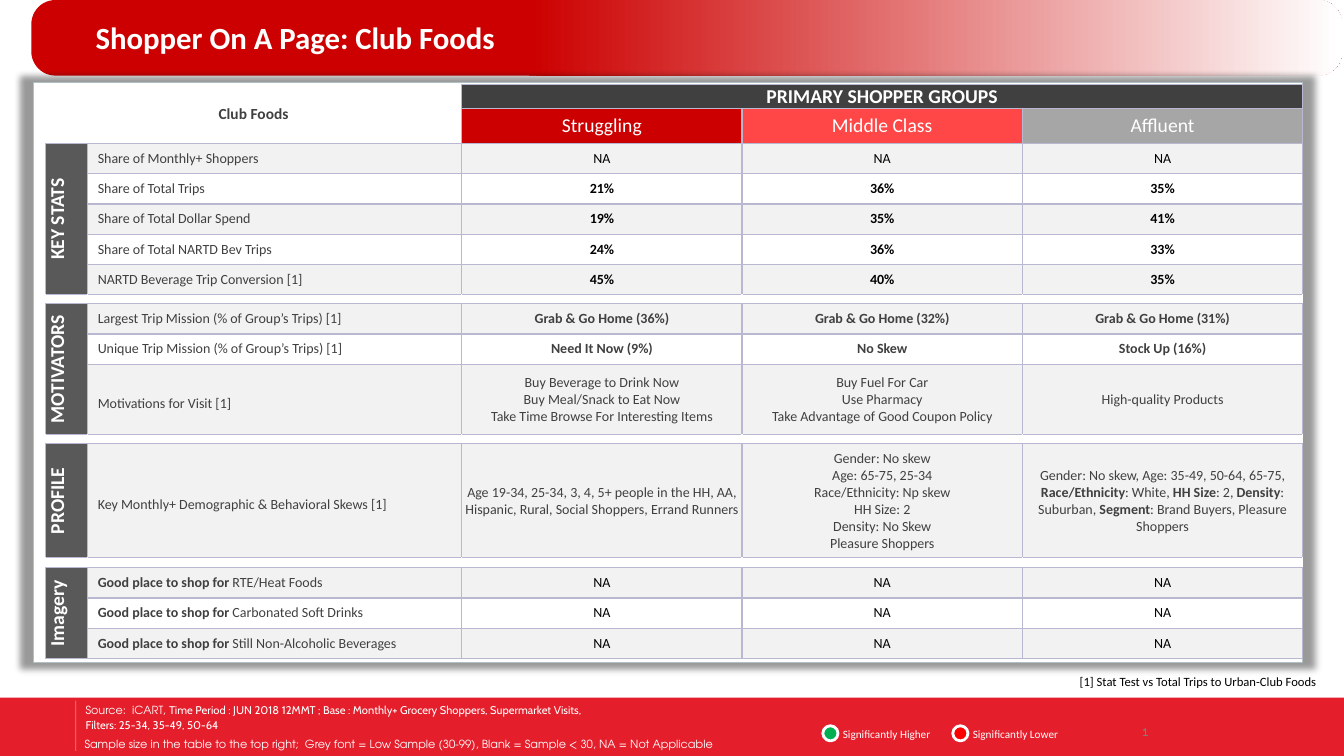
"""Build the Club Foods shopper summary slide."""
import pptx
import pptx.util
import pptx.dml.color
import pptx.enum.shapes
import pptx.enum.text
import lxml.etree

RGB = pptx.dml.color.RGBColor
WHITE, BLACK = RGB(255, 255, 255), RGB(0, 0, 0)
DARK, CHARCOAL = RGB(0x40, 0x40, 0x40), RGB(0x59, 0x59, 0x59)
PALE, SILVER, GREY = RGB(0xF2, 0xF2, 0xF2), RGB(0xA6, 0xA6, 0xA6), RGB(0x80, 0x80, 0x80)
RED, CORAL, FOOTER_RED = RGB(0xCC, 0, 0), RGB(0xFF, 0x47, 0x47), RGB(0xE5, 0x1E, 0x2B)
GREEN, BRIGHT_RED = RGB(0, 0xB0, 0x50), RGB(0xFF, 0, 0)
EDGE, BORDER = RGB(0xAF, 0xC1, 0xC3), RGB(0xB8, 0xB8, 0xD0)
GEOMETRIC = "TeX Gyre Adventor"
NS = 'xmlns:a="http://schemas.openxmlformats.org/drawingml/2006/main"'
SHAPE = pptx.enum.shapes.MSO_SHAPE
ALIGN = pptx.enum.text.PP_ALIGN
ANCHOR = pptx.enum.text.MSO_ANCHOR
Pt = pptx.util.Pt

prs = pptx.Presentation()
prs.slide_width, prs.slide_height = pptx.util.Inches(13.33), pptx.util.Inches(7.5)
W, H = prs.slide_width / 100, prs.slide_height / 100
s = prs.slides.add_slide(prs.slide_layouts[6])


def place(left, top, width, height):
    """Turn percentages of the slide into lengths."""
    return int(left * W), int(top * H), int(width * W), int(height * H)


def write(p, text, size, color, font="Calibri", align=ALIGN.LEFT):
    """Append text to a paragraph, with bold parts between asterisks."""
    p.alignment = align
    for i, part in enumerate(text.split("*")):
        if part:
            r = p.add_run()
            r.text = part
            r.font.size, r.font.name, r.font.bold = Pt(size), font, i % 2 == 1
            r.font.color.rgb = color


shapes = [
    (SHAPE.RECTANGLE, (0, 92.27, 100, 7.73), FOOTER_RED, None, 0),
    (SHAPE.OVAL, (61.22, 96, 1.13, 2), GREEN, WHITE, 2),
    (SHAPE.OVAL, (70.89, 96, 1.13, 2), BRIGHT_RED, WHITE, 2),
    (SHAPE.ROUNDED_RECTANGLE, (2.33, 0, 97.52, 10), RED, None, 0),
    (SHAPE.RECTANGLE, (2.48, 10.93, 94.45, 76.67), WHITE, EDGE, 0.75),
]
drawn = []
for kind, area, fill, line, width in shapes:
    sp = s.shapes.add_shape(kind, *place(*area))
    sp.shadow.inherit = False
    sp.fill.solid()
    sp.fill.fore_color.rgb = fill
    if line is None:
        sp.line.fill.background()
    else:
        sp.line.color.rgb = line
        sp.line.width = Pt(width)
    drawn.append(sp)

banner, panel = drawn[3:]
banner.adjustments[0] = 0.32
stops = "".join(f'<a:gs pos="{pos * 1000}"><a:srgbClr val="{color}"/></a:gs>'
                for pos, color in [(0, RED), (38, RED), (100, WHITE)])
solid = banner._element.spPr.find(".//{*}solidFill")
solid.getparent().replace(solid, lxml.etree.fromstring(
    f'<a:gradFill {NS} rotWithShape="1"><a:gsLst>{stops}</a:gsLst><a:lin ang="0" scaled="0"/></a:gradFill>'))
panel._element.spPr.find("{*}effectLst").append(lxml.etree.fromstring(
    f'<a:outerShdw {NS} blurRad="63500" sx="102000" sy="102000" algn="ctr" rotWithShape="0">'
    '<a:srgbClr val="000000"><a:alpha val="40000"/></a:srgbClr></a:outerShdw>'))

rule = s.shapes.add_connector(pptx.enum.shapes.MSO_CONNECTOR.STRAIGHT,
                              int(5.63 * W), int(92.67 * H), int(5.63 * W), int(99.33 * H))
rule.line.color.rgb, rule.line.width = WHITE, Pt(0.5)
rule.line._ln.find(".//{*}srgbClr").append(lxml.etree.fromstring(f'<a:alpha {NS} val="43000"/>'))
lxml.etree.SubElement(rule._element.spPr, "{http://schemas.openxmlformats.org/drawingml/2006/main}effectLst")

texts = [
    ((5.63, 92.4, 48.84, 5.07), "Source:  iCART, ", 8, WHITE, GEOMETRIC, ALIGN.LEFT, ANCHOR.MIDDLE),
    ((5.55, 96.27, 55.89, 4.4), "Sample size in the table to the top right;  Grey font = Low Sample (30-99), "
     "Blank = Sample < 30, NA = Not Applicable", 8, WHITE, GEOMETRIC, ALIGN.LEFT, ANCHOR.MIDDLE),
    ((61.97, 95.73, 9, 2.67), "Significantly Higher", 8, WHITE, "Calibri", ALIGN.LEFT, ANCHOR.MIDDLE),
    ((71.64, 95.73, 9, 2.67), "Significantly Lower", 8, WHITE, "Calibri", ALIGN.LEFT, ANCHOR.MIDDLE),
    ((6.38, 2, 80.5, 5.87), "*Shopper On A Page: Club Foods*", 22, WHITE, "Calibri", ALIGN.LEFT, ANCHOR.MIDDLE),
    ((61.97, 88.53, 36.68, 3.33), "[1] Stat Test vs Total Trips to Urban-Club Foods", 9, BLACK, "Calibri",
     ALIGN.RIGHT, ANCHOR.TOP),
    ((85, 96, 0.3, 1.73), "1", 8, GREY, "Arial", ALIGN.LEFT, ANCHOR.TOP),
    ((85, 96, 0.3, 1.73), "1", 8, GREY, "Calibri", ALIGN.LEFT, ANCHOR.MIDDLE),
]
for area, text, size, color, font, align, anchor in texts:
    tf = s.shapes.add_textbox(*place(*area)).text_frame
    tf.word_wrap, tf.vertical_anchor = text != "1", anchor
    if text == "1":
        tf.margin_left = tf.margin_right = tf.margin_top = tf.margin_bottom = 0
    write(tf.paragraphs[0], text, size, color, font, align)
    if text.startswith("Source"):
        write(tf.paragraphs[0], "Time Period : JUN 2018 12MMT ; Base : Monthly+ Grocery Shoppers, "
              "Supermarket Visits,", 8, WHITE, "Cabin")
        p = tf.add_paragraph()
        p.space_before = Pt(1.6)
        write(p, "Filters: 25-34, 35-49, 50-64", 8, WHITE, "Cabin")

GAP = [""] * 5
rows = [
    ["*Club Foods*", "", "*PRIMARY SHOPPER GROUPS*", "", ""],
    ["", "", "Struggling", "Middle Class", "Affluent"],
    ["*KEY STATS*", "Share of Monthly+ Shoppers", "NA", "NA", "NA"],
    ["", "Share of Total Trips", "*21%*", "*36%*", "*35%*"],
    ["", "Share of Total Dollar Spend", "*19%*", "*35%*", "*41%*"],
    ["", "Share of Total NARTD Bev Trips", "*24%*", "*36%*", "*33%*"],
    ["", "NARTD Beverage Trip Conversion [1]", "*45%*", "*40%*", "*35%*"],
    GAP,
    ["*MOTIVATORS*", "Largest Trip Mission (% of Group’s Trips) [1]",
     "*Grab & Go Home (36%)*", "*Grab & Go Home (32%)*", "*Grab & Go Home (31%)*"],
    ["", "Unique Trip Mission (% of Group’s Trips) [1]", "*Need It Now (9%)*", "*No Skew*", "*Stock Up (16%)*"],
    ["", "Motivations for Visit [1]",
     "Buy Beverage to Drink Now\nBuy Meal/Snack to Eat Now\nTake Time Browse For Interesting Items",
     "Buy Fuel For Car\nUse Pharmacy\nTake Advantage of Good Coupon Policy", "High-quality Products"],
    GAP,
    ["*PROFILE*", "Key Monthly+ Demographic & Behavioral Skews [1]",
     "Age 19-34, 25-34, 3, 4, 5+ people in the HH, AA, Hispanic, Rural, Social Shoppers, Errand Runners",
     "Gender: No skew\nAge: 65-75, 25-34\nRace/Ethnicity: Np skew\nHH Size: 2\nDensity: No Skew\nPleasure Shoppers",
     "Gender: No skew, Age: 35-49, 50-64, 65-75, *Race/Ethnicity*: White, *HH Size*: 2, "
     "*Density*: Suburban, *Segment*: Brand Buyers, Pleasure Shoppers"],
    GAP,
    ["*Imagery*", "*Good place to shop for *RTE/Heat Foods", "NA", "NA", "NA"],
    ["", "*Good place to shop for *Carbonated Soft Drinks", "NA", "NA", "NA"],
    ["", "*Good place to shop for *Still Non-Alcoholic Beverages", "NA", "NA", "NA"],
]
widths = [3.15, 27.83] + [20.86] * 3
heights = [3.07, 4.67] + [4] * 5 + [1.2, 4, 4, 9.33, 1.2, 15.07, 1.33] + [4] * 3
group_fills = {2: RED, 3: CORAL, 4: SILVER}
striped = {2, 4, 6, 8, 10, 12, 14, 16}
black_rows = {2, 3, 4, 5, 6, 14, 15, 16}

table = s.shapes.add_table(len(rows), len(widths), *place(3.38, 11.2, sum(widths), sum(heights))).table
table.first_row = table.horz_banding = False
for col, width in zip(table.columns, widths):
    col.width = int(width * W)
for row, height in zip(table.rows, heights):
    row.height = int(height * H)
for top, left, bottom, right in [(0, 0, 1, 1), (0, 2, 0, 4), (2, 0, 6, 0), (8, 0, 10, 0), (14, 0, 16, 0)]:
    table.cell(top, left).merge(table.cell(bottom, right))

for i, row in enumerate(rows):
    for j, text in enumerate(row):
        cell = table.cell(i, j)
        cell.vertical_anchor = ANCHOR.MIDDLE
        cell.margin_left = cell.margin_right = cell.margin_top = cell.margin_bottom = 0
        size, color, fill, sides = 10, DARK, None, "LRTB"
        if row is GAP:
            sides = "TB"
        elif i < 2 and j < 2:
            size, sides = 11, "RB"
        elif i < 2:
            size, color, fill = 14, WHITE, group_fills[j] if i else DARK
        elif j == 0:
            size, color, fill = 14, WHITE, CHARCOAL
        else:
            fill = PALE if i in striped else None
            color = BLACK if j > 1 and i in black_rows else DARK
        if fill is None:
            cell.fill.background()
        else:
            cell.fill.solid()
            cell.fill.fore_color.rgb = fill
        tcPr = cell._tc.get_or_add_tcPr()
        for k, side in enumerate(sides):
            tcPr.insert(k, lxml.etree.fromstring(
                f'<a:ln{side} {NS} w="12700"><a:solidFill><a:srgbClr val="{BORDER}"/></a:solidFill></a:ln{side}>'))
        if j == 0 and i > 1 and row is not GAP:
            tcPr.set("vert", "vert270")
        label = j == 1 and i > 1
        if label:
            cell.margin_left = int(0.75 * W)
        tf = cell.text_frame
        for n, line in enumerate(text.split("\n")):
            p = tf.add_paragraph() if n else tf.paragraphs[0]
            write(p, line, size, color, align=ALIGN.LEFT if label else ALIGN.CENTER)
            if label and i in (10, 12):
                p.line_spacing = 1.5
            if not line:
                p._p.get_or_add_endParaRPr().set("sz", "100")

prs.save("out.pptx")
